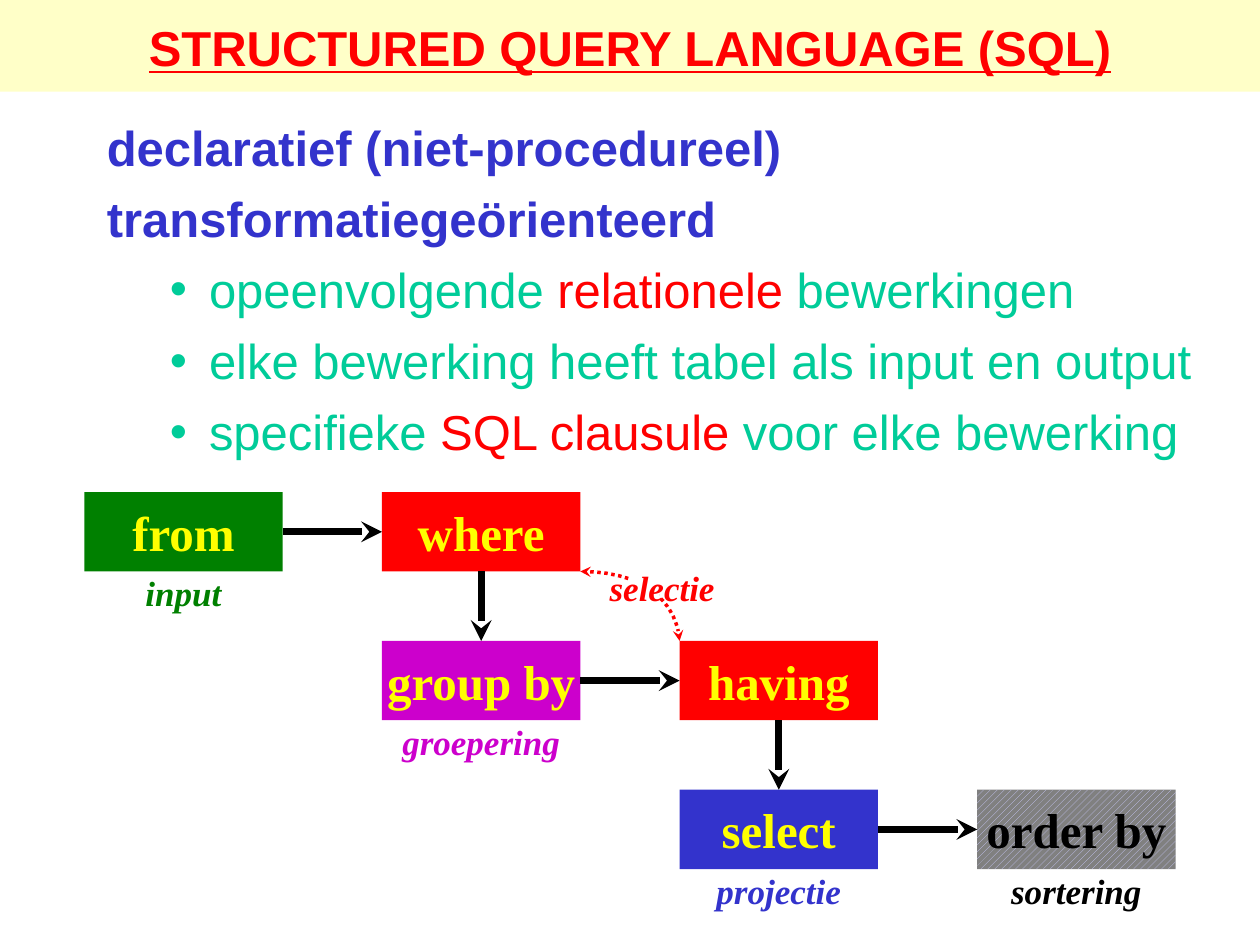
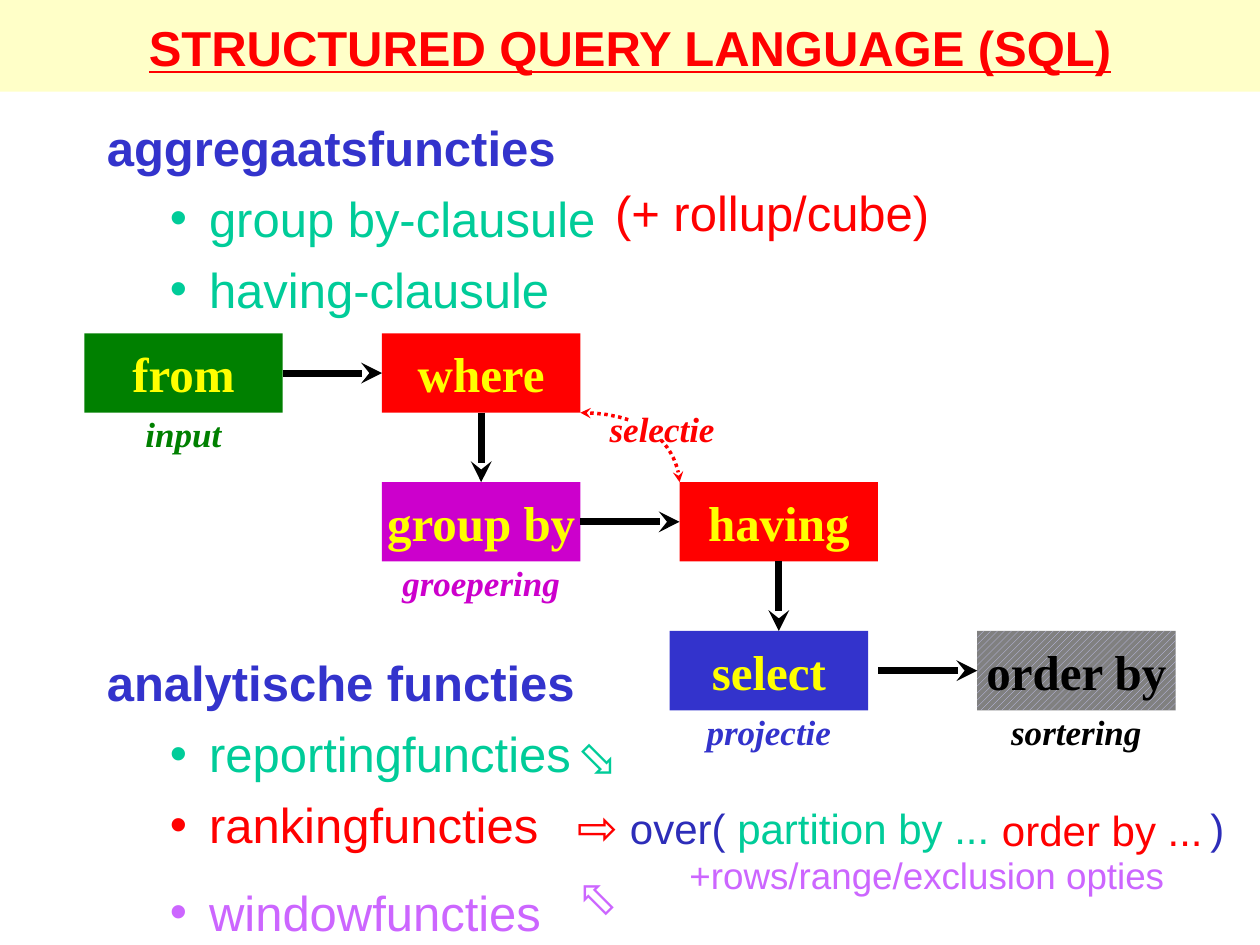
from dataclasses import dataclass
from itertools import pairwise

from pptx import Presentation
from pptx.dml.color import RGBColor
from pptx.enum.dml import MSO_LINE, MSO_PATTERN
from pptx.enum.shapes import MSO_CONNECTOR, MSO_SHAPE
from pptx.enum.text import MSO_ANCHOR, MSO_AUTO_SIZE, PP_ALIGN
from pptx.oxml.xmlchemy import OxmlElement
from pptx.util import Cm, Pt


@dataclass(frozen=True)
class Theme:
    sans: str = "Arial"
    serif: str = "Times New Roman"
    large: int = 28
    medium: int = 24
    small: int = 21
    caption: int = 20
    band: str = "FFFFC8"
    red: str = "FF0000"
    blue: str = "3333CC"
    navy: str = "2D2DB9"
    teal: str = "00CC99"
    violet: str = "CC66FF"
    green: str = "008000"
    magenta: str = "CC00CC"
    yellow: str = "FFFF00"
    black: str = "000000"
    white: str = "FFFFFF"
    grey: str = "808080"
    lilac: str = "CCCCFF"


T = Theme()
TITLE = "STRUCTURED QUERY LANGUAGE (SQL)"
LINE_GAP = 7

# Clauses in order of execution: text, column, row, fill, caption
CLAUSES = [
    ("from", 0, 0, T.green, "input"),
    ("where", 1, 0, T.red, None),
    ("group by", 1, 1, T.magenta, "groepering"),
    ("having", 2, 1, T.red, None),
    ("select", 2, 2, T.blue, "projectie"),
    ("order by", 3, 2, None, "sortering"),
]

# Lines: level, space before in points, runs of (text, colour)
# Labels: left and middle in cm, width in cm, size, runs
SLIDES = [
    {
        "lines": [
            (0, 0, [("declaratief (niet-procedureel)", T.blue)]),
            (0, LINE_GAP, [("transformatiegeörienteerd", T.blue)]),
            (1, LINE_GAP, [("opeenvolgende ", T.teal), ("relationele", T.red),
                           (" bewerkingen", T.teal)]),
            (1, LINE_GAP, [("elke bewerking heeft tabel als input en output", T.teal)]),
            (1, LINE_GAP, [("specifieke ", T.teal), ("SQL clausule", T.red),
                           (" voor elke bewerking", T.teal)]),
        ],
        "flow_top": 9.92,
        "shifts": {},
        "labels": [],
    },
    {
        "lines": [
            (0, 0, [("aggregaatsfuncties", T.blue)]),
            (1, LINE_GAP, [("group by-clausule", T.teal)]),
            (1, LINE_GAP, [("having-clausule", T.teal)]),
            (0, 191, [("analytische functies", T.blue)]),
            (1, LINE_GAP, [("reportingfuncties", T.teal)]),
            (1, LINE_GAP, [("rankingfuncties", T.red)]),
            (1, 16.4, [("windowfuncties", T.violet)]),
        ],
        "flow_top": 6.72,
        "shifts": {"select": -0.2},
        "labels": [
            (12.4, 4.28, 8, T.large, [("(+ rollup/cube)", T.red)]),
            (11.63, 15.24, 1.2, T.large, [("⬂", T.teal)]),
            (11.63, 16.65, 1.2, T.large, [("⇨", T.red)]),
            (11.63, 18.05, 1.2, T.large, [("⬁", T.violet)]),
            (12.7, 16.69, 8, T.medium, [("over(", T.navy), (" partition by ...", T.teal)]),
            (20.2, 16.73, 4.6, T.medium, [("order by ...", T.red)]),
            (24.4, 16.69, 0.9, T.medium, [(")", T.navy)]),
            (13.9, 17.64, 11, T.small, [("+rows/range/exclusion opties", T.violet)]),
        ],
    },
]

FLOW_LEFT, COLUMN_STEP, ROW_STEP = 1.7, 6, 3
BOX_WIDTH, BOX_HEIGHT = 4, 1.6
TOP, BOTTOM, LEFT, RIGHT = 0, 2, 1, 3


def rgb(colour):
    return RGBColor.from_string(colour)


def style_run(run, colour, size, font=T.sans, bold=False, italic=False):
    run.font.name, run.font.size = font, Pt(size)
    run.font.bold, run.font.italic = bold, italic
    run.font.color.rgb = rgb(colour)


def add_runs(paragraph, runs, size, bold=False):
    for text, colour in runs:
        run = paragraph.add_run()
        run.text = text
        style_run(run, colour, size, bold=bold)


def centred_text(shape, text, colour, size, italic=False):
    frame = shape.text_frame
    frame.text = text
    frame.word_wrap = False
    paragraph = frame.paragraphs[0]
    paragraph.alignment = PP_ALIGN.CENTER
    style_run(paragraph.runs[0], colour, size, T.serif, bold=True, italic=italic)


def add_rectangle(slide, left, top, width, height, colour):
    rectangle = slide.shapes.add_shape(
        MSO_SHAPE.RECTANGLE, Cm(left), Cm(top), Cm(width), Cm(height))
    rectangle.shadow.inherit = False
    rectangle.line.fill.background()
    if colour:
        rectangle.fill.solid()
        rectangle.fill.fore_color.rgb = rgb(colour)
    else:
        rectangle.fill.patterned()
        rectangle.fill.pattern = MSO_PATTERN.WIDE_UPWARD_DIAGONAL
        rectangle.fill.fore_color.rgb = rgb(T.lilac)
        rectangle.fill.back_color.rgb = rgb(T.grey)
    return rectangle


def style_arrow(arrow, colour, width, ends):
    arrow.line.color.rgb = rgb(colour)
    arrow.line.width = Pt(width)
    if len(ends) == 2:
        arrow.line.dash_style = MSO_LINE.ROUND_DOT
    for end in ends:
        head = OxmlElement(f"a:{end}")
        head.set("type", "stealth")
        arrow.line._get_or_add_ln().append(head)


def prepare_layout(layout, slide):
    """Give the layout its band and place its title and body."""
    band = add_rectangle(slide, 0, 0, 25.4, 1.85, T.band)
    band.element.nvSpPr.cNvPr.set("id", "20")
    layout.shapes.element.insert(2, band.element)
    areas = {0: (0, 0, 25.4, 1.9), 1: (1.9, 2.24, 23.2, 16.8)}
    for placeholder in layout.placeholders:
        area = areas.get(placeholder.placeholder_format.idx)
        if area:
            (placeholder.left, placeholder.top,
             placeholder.width, placeholder.height) = map(Cm, area)


def fill_title(slide):
    frame = slide.shapes.title.text_frame
    frame.text = TITLE
    frame.auto_size = MSO_AUTO_SIZE.NONE
    frame.vertical_anchor = MSO_ANCHOR.MIDDLE
    frame.paragraphs[0].alignment = PP_ALIGN.CENTER
    run = frame.paragraphs[0].runs[0]
    style_run(run, T.red, T.large, bold=True)
    run.font.underline = True


def set_bullet(paragraph, level):
    margin, hanging = [(0.96, 0.96), (2.06, 0.79)][level]
    properties = paragraph._p.get_or_add_pPr()
    properties.set("marL", str(Cm(margin)))
    properties.set("indent", str(-Cm(hanging)))
    if level:
        font = OxmlElement("a:buFont")
        font.set("typeface", T.sans)
        bullet = OxmlElement("a:buChar")
        bullet.set("char", "•")
        properties.extend([font, bullet])
    else:
        properties.append(OxmlElement("a:buNone"))


def fill_body(slide, lines):
    frame = slide.placeholders[1].text_frame
    frame.auto_size = MSO_AUTO_SIZE.NONE
    frame.vertical_anchor = MSO_ANCHOR.TOP
    for number, (level, gap, runs) in enumerate(lines):
        paragraph = frame.add_paragraph() if number else frame.paragraphs[0]
        paragraph.level = level
        paragraph.space_before = Pt(gap)
        set_bullet(paragraph, level)
        add_runs(paragraph, runs, T.large, bold=level == 0)


def grid_corner(column, row, flow_top):
    return FLOW_LEFT + column * COLUMN_STEP, flow_top + row * ROW_STEP


def add_caption(slide, text, left, top, colour):
    caption = slide.shapes.add_textbox(Cm(left), Cm(top), Cm(BOX_WIDTH), Cm(1))
    centred_text(caption, text, colour, T.caption, italic=True)


def add_selection_link(slide, flow_top):
    """Dotted curve between where and having, with its caption."""
    end_x, end_y = grid_corner(2, 1, flow_top)
    start_x, start_y = end_x - COLUMN_STEP + BOX_WIDTH, flow_top + BOX_HEIGHT
    steps = [step / 20 for step in range(21)]
    points = [(Cm(start_x + (end_x - start_x) * (1 - (1 - t) ** 3 - 3 * t * t * (1 - t)
                                                 + 3 * t * t * (1 - t))),
               Cm(start_y + (end_y - start_y) * (3 * t * t - 2 * t ** 3)))
              for t in steps]
    builder = slide.shapes.build_freeform(*points[0])
    builder.add_line_segments(points[1:], close=False)
    curve = builder.convert_to_shape()
    curve.shadow.inherit = False
    curve.fill.background()
    style_arrow(curve, T.red, 2, ["headEnd", "tailEnd"])
    add_rectangle(slide, start_x + 1, start_y, 0.6, 0.6, T.white)
    add_caption(slide, "selectie", end_x - 2.35, flow_top + 1.37, T.red)


def add_step(slide, source, target, boxes, flow_top, shifts):
    """Arrow on the grid, joined to each box that stands on it."""
    (name, column, row, *_), (next_name, next_column, next_row, *_) = source, target
    left, top = grid_corner(column, row, flow_top)
    next_left, next_top = grid_corner(next_column, next_row, flow_top)
    if row == next_row:
        sides = RIGHT, LEFT
        middle = top + BOX_HEIGHT / 2
        ends = left + BOX_WIDTH, middle, next_left, middle
    else:
        sides = BOTTOM, TOP
        middle = left + BOX_WIDTH / 2
        ends = middle, top + BOX_HEIGHT, middle, next_top
    arrow = slide.shapes.add_connector(MSO_CONNECTOR.STRAIGHT, *map(Cm, ends))
    if name not in shifts:
        arrow.begin_connect(boxes[name], sides[0])
    if next_name not in shifts:
        arrow.end_connect(boxes[next_name], sides[1])
    style_arrow(arrow, T.black, 4, ["tailEnd"])
    arrow.element.spPr.append(OxmlElement("a:effectLst"))


def add_flow(slide, flow_top, shifts):
    add_selection_link(slide, flow_top)
    boxes = {}
    for name, column, row, colour, caption in CLAUSES:
        left, top = grid_corner(column, row, flow_top)
        left += shifts.get(name, 0)
        boxes[name] = add_rectangle(slide, left, top, BOX_WIDTH, BOX_HEIGHT, colour)
        centred_text(boxes[name], name, T.yellow if colour else T.black, T.large)
        if caption:
            add_caption(slide, caption, left, top + 1.48, colour or T.black)
    for source, target in pairwise(CLAUSES):
        add_step(slide, source, target, boxes, flow_top, shifts)


def add_label(slide, left, middle, width, size, runs):
    label = slide.shapes.add_textbox(Cm(left), Cm(middle - 0.6), Cm(width), Cm(1.2))
    frame = label.text_frame
    frame.word_wrap = True
    frame.vertical_anchor = MSO_ANCHOR.MIDDLE
    frame.margin_left = frame.margin_right = frame.margin_top = frame.margin_bottom = 0
    add_runs(frame.paragraphs[0], runs, size)


def main():
    deck = Presentation()
    deck.slide_width, deck.slide_height = Cm(25.4), Cm(19.05)
    layout = deck.slide_layouts[1]
    for number, content in enumerate(SLIDES):
        slide = deck.slides.add_slide(layout)
        if number == 0:
            prepare_layout(layout, slide)
        fill_title(slide)
        fill_body(slide, content["lines"])
        add_flow(slide, content["flow_top"], content["shifts"])
        for label in content["labels"]:
            add_label(slide, *label)
    deck.save("out.pptx")


if __name__ == "__main__":
    main()
